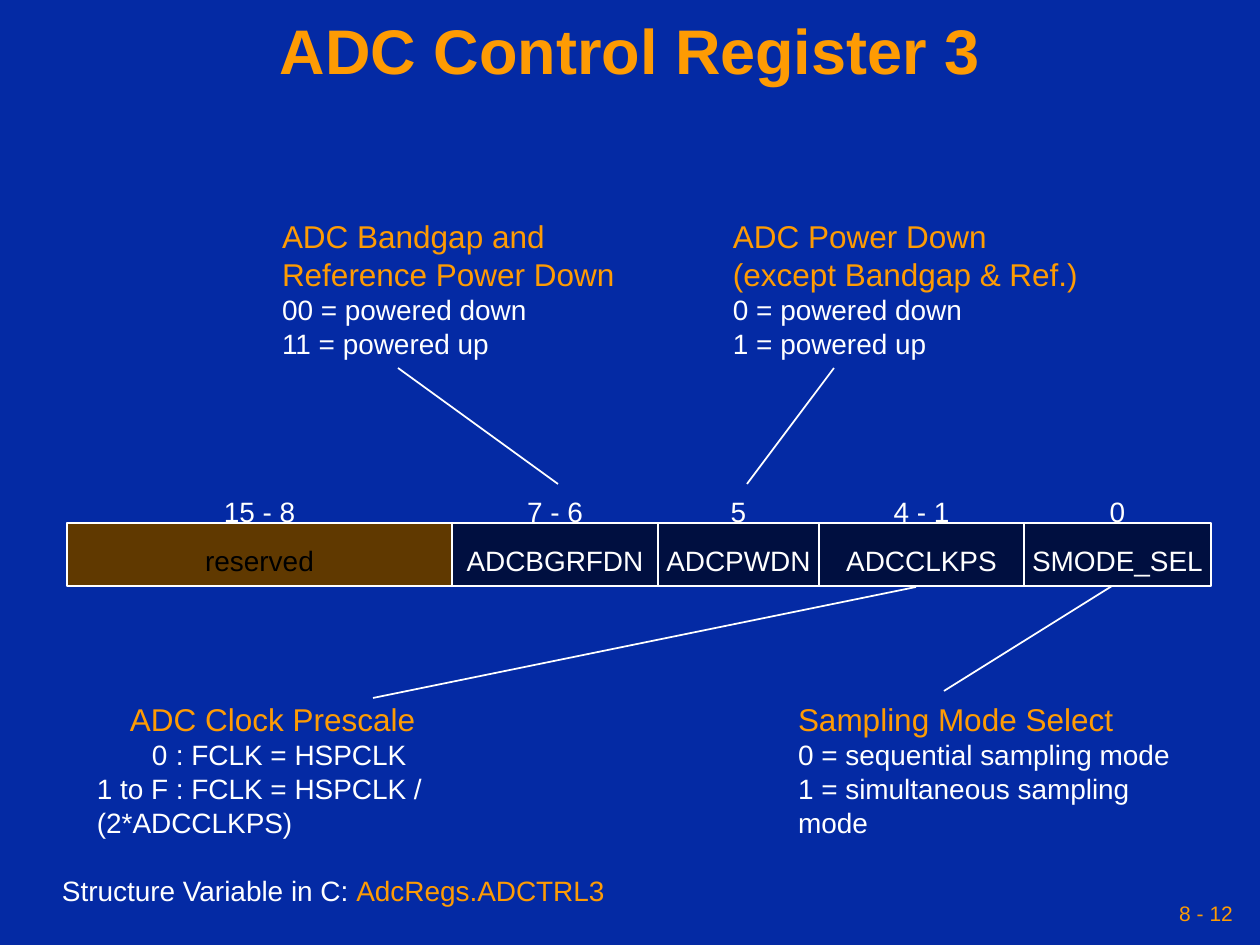
from itertools import pairwise

from lxml import etree
from pptx import Presentation
from pptx.dml.color import RGBColor
from pptx.enum.shapes import MSO_CONNECTOR, MSO_SHAPE
from pptx.enum.text import MSO_ANCHOR, PP_ALIGN
from pptx.oxml.ns import qn
from pptx.util import Emu, Pt

RECT = MSO_SHAPE.RECTANGLE
STRAIGHT = MSO_CONNECTOR.STRAIGHT
TOP, MIDDLE = MSO_ANCHOR.TOP, MSO_ANCHOR.MIDDLE
LEFT, CENTER, RIGHT = PP_ALIGN.LEFT, PP_ALIGN.CENTER, PP_ALIGN.RIGHT

COLORS = {
    "background": "042AA4",
    "accent": "FE9B03",
    "text": "FFFFFF",
    "field": "000F40",
    "reserved": "603900",
    "reserved_text": "000000",
}
FONT = "Arial"


def px(n):
    return Emu(round(n * 914400 / 126))


def rgb(name):
    return RGBColor.from_string(COLORS[name])


def style_run(r, size, color, bold=False):
    r.font.name = FONT
    r.font.size = Pt(size)
    r.font.bold = bold
    r.font.color.rgb = rgb(color)


def add_text(slide, box, paragraphs, align=LEFT, anchor=TOP, inset=13, wrap=True, bold=False):
    tf = slide.shapes.add_textbox(*map(px, box)).text_frame
    tf.word_wrap = wrap
    tf.vertical_anchor = anchor
    tf.margin_left = tf.margin_right = px(inset)
    for i, runs in enumerate(paragraphs):
        p = tf.add_paragraph() if i else tf.paragraphs[0]
        p.alignment = align
        for text, size, color in runs:
            r = p.add_run()
            r.text = text
            style_run(r, size, color, bold)
    return tf


def add_line(slide, x1, y1, x2, y2):
    line = slide.shapes.add_connector(STRAIGHT, px(x1), px(y1), px(x2), px(y2))
    line.line.color.rgb = rgb("text")
    line.line.width = Pt(1)
    etree.SubElement(line._element.spPr, qn("a:effectLst"))


def add_bar(slide, x, y, w, h, fill):
    sp = slide.shapes.add_shape(RECT, px(x), px(y), px(w), px(h))
    sp.shadow.inherit = False
    sp.fill.solid()
    sp.fill.fore_color.rgb = rgb(fill)
    sp.line.color.rgb = rgb("text")
    sp.line.width = Pt(1)


def set_tabs(p, stops):
    tabs = etree.SubElement(p._p.get_or_add_pPr(), qn("a:tabLst"))
    for stop in stops:
        etree.SubElement(tabs, qn("a:tab"), pos=str(px(stop)), algn="l")


def add_title(slide, box, text):
    tf = add_text(slide, box, [[(text, 36, "accent")]], CENTER, MIDDLE, inset=6, bold=True)
    tf.paragraphs[0].line_spacing = 0.9


def add_callout(slide, box, headings, values, leader, wrap=False):
    paragraphs = [[(t, 18, "accent")] for t in headings]
    paragraphs += [[(t, 16, "text")] for t in values]
    add_line(slide, *leader)
    return add_text(slide, box, paragraphs, wrap=wrap)


def add_clock_callout(slide, box, leader):
    tf = add_callout(
        slide, box, ["ADC Clock Prescale"],
        ["\t0\t: FCLK = HSPCLK", "1 to F\t: FCLK = HSPCLK / (2*ADCCLKPS)"], leader)
    heading, zero, others = tf.paragraphs
    heading._p.get_or_add_pPr().set("marL", str(px(33)))
    set_tabs(zero, [55, 79])
    set_tabs(others, [79])


def add_register(slide, box, edges, fields):
    x, y, w, h = box
    split = edges[1]
    add_bar(slide, x + split, y, w - split, h, "field")
    add_bar(slide, x, y, split, h, "reserved")
    for edge in edges[2:-1]:
        add_line(slide, x + edge, y, x + edge, y + h)
    for (start, end), (bits, name) in zip(pairwise(edges), fields):
        color = "reserved_text" if name == "reserved" else "text"
        for text, dy, ink in ((bits, -35, "text"), (name, 14, color)):
            add_text(slide, (x + start, y + dy, end - start, 47),
                     [[(text, 16, ink)]], CENTER, inset=0, wrap=False)


def main():
    prs = Presentation()
    prs.slide_width, prs.slide_height = px(1260), px(945)
    slide = prs.slides.add_slide(prs.slide_layouts[6])
    slide.background.fill.solid()
    slide.background.fill.fore_color.rgb = rgb("background")

    add_title(slide, (0, 12, 1260, 85), "ADC Control Register 3")
    add_callout(slide, (269, 211, 408, 156), ["ADC Bandgap and Reference Power Down"],
                ["00 = powered down", "11 = powered up"], (398, 368, 558, 484), wrap=True)
    add_callout(slide, (720, 211, 371, 156), ["ADC Power Down", "(except Bandgap & Ref.)"],
                ["0 = powered down", "1 = powered up"], (834, 368, 747, 484))
    add_register(slide, (67, 523, 1144, 63), [0, 385, 591, 752, 957, 1144],
                 [("15 - 8", "reserved"), ("7 - 6", "ADCBGRFDN"), ("5", "ADCPWDN"),
                  ("4 - 1", "ADCCLKPS"), ("0", "SMODE_SEL")])
    add_clock_callout(slide, (84, 694, 553, 118), (916, 587, 373, 698))
    add_callout(slide, (785, 694, 434, 118), ["Sampling Mode Select"],
                ["0 = sequential sampling mode", "1 = simultaneous sampling mode"],
                (1112, 586, 944, 691))
    add_text(slide, (49, 867, 630, 47),
             [[("Structure Variable in C: ", 16, "text"), ("AdcRegs.ADCTRL3", 16, "accent")]])
    add_text(slide, (861, 892, 378, 42), [[("8 - 12", 12, "accent")]],
             RIGHT, MIDDLE, inset=6, wrap=False)
    prs.save("out.pptx")


if __name__ == "__main__":
    main()
